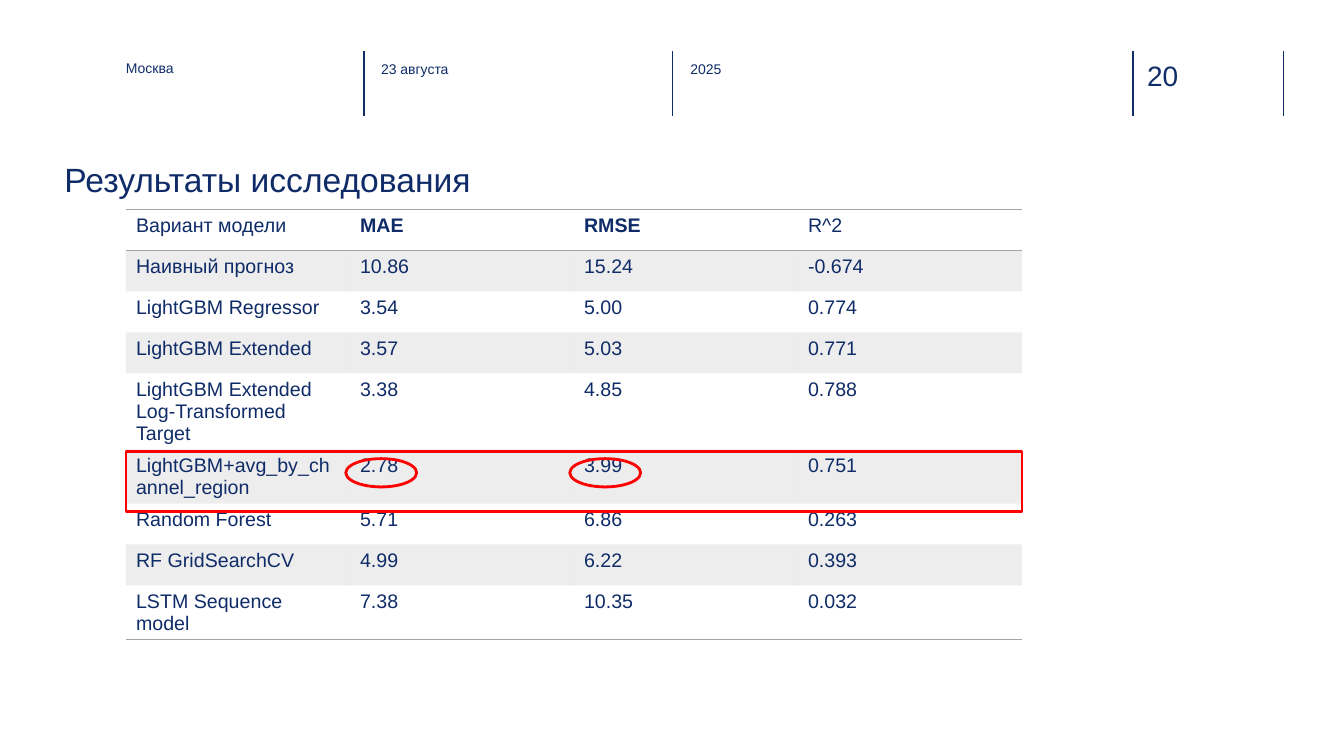
from dataclasses import dataclass

from lxml import etree
from pptx import Presentation
from pptx.dml.color import RGBColor
from pptx.enum.shapes import MSO_CONNECTOR, MSO_SHAPE
from pptx.enum.text import MSO_ANCHOR, MSO_AUTO_SIZE, PP_ALIGN
from pptx.oxml.ns import qn
from pptx.util import Pt

STRAIGHT = MSO_CONNECTOR.STRAIGHT
OVAL, RECTANGLE = MSO_SHAPE.OVAL, MSO_SHAPE.RECTANGLE
TOP, LEFT, NO_AUTOFIT = MSO_ANCHOR.TOP, PP_ALIGN.LEFT, MSO_AUTO_SIZE.NONE
PLAIN_TABLE_STYLE = "{2D5ABB26-0587-4C30-8999-92F81FD0307C}"


@dataclass(frozen=True)
class Theme:
    font: str = "Arial"
    navy: str = "0F2C68"
    divider: str = "102D69"
    gray: str = "A5A5A5"
    red: str = "FF0000"
    band_opacity: int = 20
    label_size: int = 10
    table_size: int = 14
    number_size: int = 20
    title_size: int = 24


THEME = Theme()

# Header: divider positions, then text, left, top, width, height, size
DIVIDERS = (259.9, 480.2, 809.3, 916.6)
HEADER_LABELS = (
    ("Москва", 90, 42.5, 150, 32.4, THEME.label_size),
    ("23 августа", 272.2, 43.2, 162.7, 32.4, THEME.label_size),
    ("2025", 493.2, 43.2, 162.7, 32.4, THEME.label_size),
    ("20", 819.4, 41.8, 52.6, 24.5, THEME.number_size),
)

RESULTS = (
    ("Вариант модели", "MAE", "RMSE", "R^2"),
    ("Наивный прогноз", "10.86", "15.24", "-0.674"),
    ("LightGBM Regressor", "3.54", "5.00", "0.774"),
    ("LightGBM Extended", "3.57", "5.03", "0.771"),
    ("LightGBM Extended Log-Transformed Target", "3.38", "4.85", "0.788"),
    ("LightGBM+avg_by_channel_region", "2.78", "3.99", "0.751"),
    ("Random Forest", "5.71", "6.86", "0.263"),
    ("RF GridSearchCV", "4.99", "6.22", "0.393"),
    ("LSTM Sequence model", "7.38", "10.35", "0.032"),
)
BOLD_HEADINGS = ("MAE", "RMSE")
TABLE_LEFT, TABLE_TOP = 90, 149.8
COLUMN_WIDTH, ROW_HEIGHT = 160, 29.2


def apply_format(target, values):
    for name, value in values.items():
        setattr(target, name, value)


def write_text(frame, text, size, bold=False):
    frame.text = text
    paragraph = frame.paragraphs[0]
    paragraph.alignment = LEFT
    font = paragraph.runs[0].font
    apply_format(font, {"name": THEME.font, "size": Pt(size), "bold": bold})
    font.color.rgb = RGBColor.from_string(THEME.navy)


def fit_frame(frame):
    apply_format(frame, {
        "margin_left": 0, "margin_top": 0, "margin_right": 0, "margin_bottom": 0,
        "word_wrap": True, "auto_size": NO_AUTOFIT, "vertical_anchor": TOP,
    })


def add_title(slide, text):
    title = slide.shapes.title
    apply_format(title, {
        "left": Pt(46), "top": Pt(113.8), "width": Pt(870.5), "height": Pt(61.2),
    })
    fit_frame(title.text_frame)
    write_text(title.text_frame, text, THEME.title_size)


def add_label(slide, text, left, top, width, height, size):
    label = slide.shapes.add_textbox(Pt(left), Pt(top), Pt(width), Pt(height))
    fit_frame(label.text_frame)
    write_text(label.text_frame, text, size)


def add_divider(slide, x):
    divider = slide.shapes.add_connector(STRAIGHT, Pt(x), Pt(36.7), Pt(x), Pt(82.8))
    divider.line.color.rgb = RGBColor.from_string(THEME.divider)
    divider.line.width = Pt(1)
    etree.SubElement(divider.line._get_or_add_ln().getparent(), qn("a:effectLst"))


def add_marker(slide, kind, left, top, width, height):
    marker = slide.shapes.add_shape(kind, Pt(left), Pt(top), Pt(width), Pt(height))
    marker.shadow.inherit = False
    marker.fill.background()
    marker.line.color.rgb = RGBColor.from_string(THEME.red)
    marker.line.width = Pt(2)


def fill_band(cell):
    cell.fill.solid()
    cell.fill.fore_color.rgb = RGBColor.from_string(THEME.gray)
    color = cell._tc.get_or_add_tcPr().find(".//" + qn("a:srgbClr"))
    etree.SubElement(color, qn("a:alpha"), val=str(THEME.band_opacity * 1000))


def set_borders(cell, sides):
    # Border elements come before the fill
    properties = cell._tc.get_or_add_tcPr()
    for index, side in enumerate(sides):
        border = etree.Element(qn("a:ln" + side), w=str(Pt(1)))
        fill = etree.SubElement(border, qn("a:solidFill"))
        etree.SubElement(fill, qn("a:srgbClr"), val=THEME.gray)
        properties.insert(index, border)


def add_results_table(slide):
    row_count, column_count = len(RESULTS), len(RESULTS[0])
    frame = slide.shapes.add_table(
        row_count, column_count, Pt(TABLE_LEFT), Pt(TABLE_TOP),
        Pt(COLUMN_WIDTH * column_count), Pt(ROW_HEIGHT * row_count))
    table = frame.table
    table._tbl.tblPr.find(qn("a:tableStyleId")).text = PLAIN_TABLE_STYLE
    for column in table.columns:
        column.width = Pt(COLUMN_WIDTH)
    borders = {0: "TB", row_count - 1: "B"}
    for row_index, values in enumerate(RESULTS):
        table.rows[row_index].height = Pt(ROW_HEIGHT)
        for column_index, value in enumerate(values):
            cell = table.cell(row_index, column_index)
            write_text(cell.text_frame, value, THEME.table_size, value in BOLD_HEADINGS)
            if row_index % 2:
                fill_band(cell)
            else:
                cell.fill.background()
            set_borders(cell, borders.get(row_index, ""))


def main():
    deck = Presentation()
    deck.slide_width, deck.slide_height = Pt(960), Pt(540)
    slide = deck.slides.add_slide(deck.slide_layouts[5])

    # Header strip
    for x in DIVIDERS:
        add_divider(slide, x)
    for label in HEADER_LABELS:
        add_label(slide, *label)

    # Title and model comparison
    add_title(slide, "Результаты исследования")
    add_results_table(slide)

    # Best model and its two lowest errors
    add_marker(slide, RECTANGLE, TABLE_LEFT, 322.6, COLUMN_WIDTH * 4, 42.5)
    for column in (1, 2):
        add_marker(slide, OVAL, TABLE_LEFT + COLUMN_WIDTH * column - 3, 327.6, 50.6, 20.2)

    deck.save("out.pptx")


if __name__ == "__main__":
    main()
